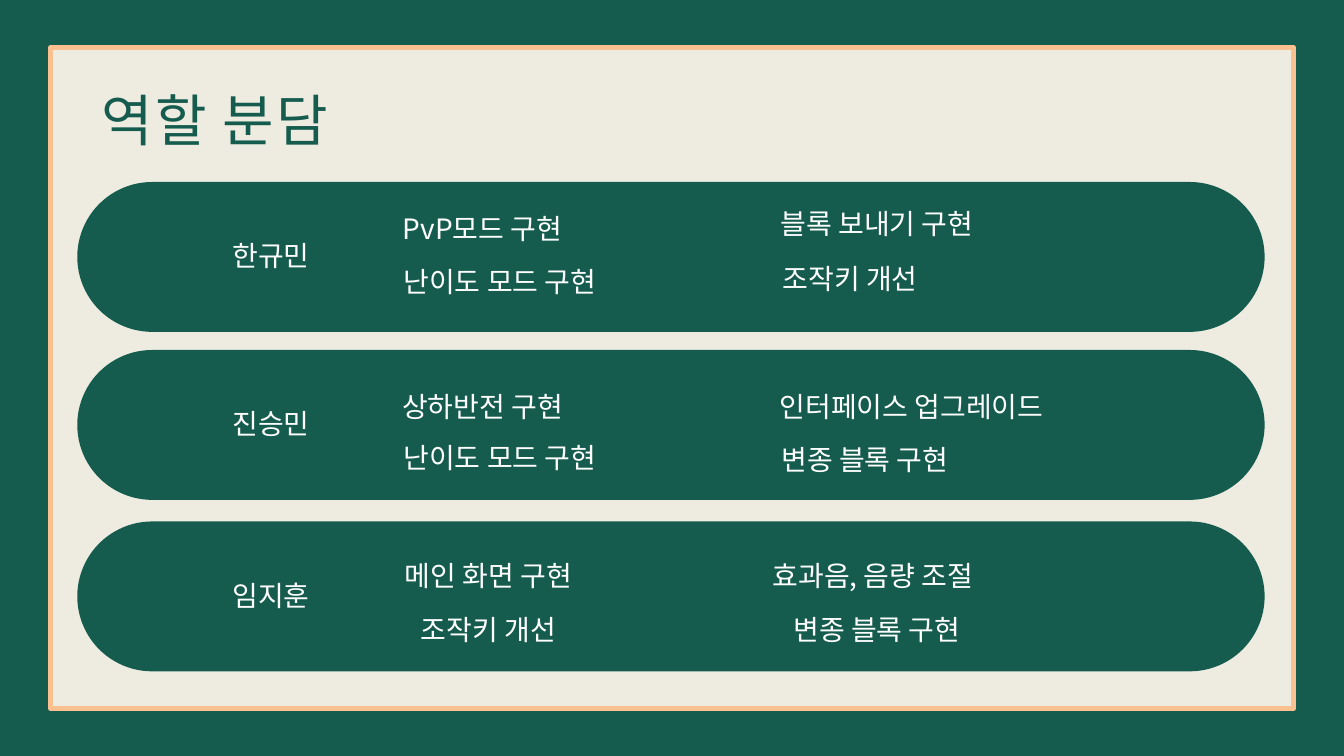
import pptx
import pptx.dml.color
import pptx.enum.shapes
import pptx.enum.text
import pptx.oxml.ns
import pptx.util
from lxml import etree

Pt = pptx.util.Pt
RGBColor = pptx.dml.color.RGBColor
Anchor = pptx.enum.text.MSO_ANCHOR
Align = pptx.enum.text.PP_ALIGN
Shape = pptx.enum.shapes.MSO_SHAPE

GREEN = RGBColor(0x15, 0x5C, 0x4F)
CREAM = RGBColor(0xEE, 0xEC, 0xE1)
PEACH = RGBColor(0xFA, 0xC0, 0x90)
WHITE = RGBColor(0xFF, 0xFF, 0xFF)

# Band top, member, tasks as (text, left, top, width)
MEMBERS = [
    (195, "한규민", [
        ("PvP모드 구현", 386.6, 223.2, 260.6),
        ("난이도 모드 구현", 377.3, 280.1, 316.8),
        ("블록 보내기 구현", 766.1, 217.4, 347),
        ("조작키 개선", 780.5, 276.5, 260.6),
    ]),
    (375, "진승민", [
        ("상하반전 구현", 376.6, 414, 280.8),
        ("난이도 모드 구현", 377.3, 468.7, 316.8),
        ("인터페이스 업그레이드", 747.4, 414, 458.6),
        ("변종 블록 구현", 772.6, 470.2, 308.2),
    ]),
    (558.7, "임지훈", [
        ("메인 화면 구현", 383, 595.4, 280.8),
        ("조작키 개선", 383, 653, 280.8),
        ("효과음, 음량 조절", 761.8, 595.4, 347),
        ("변종 블록 구현", 766.1, 653, 347),
    ]),
]


class RolePage:
    font = "Noto Sans CJK KR"

    def __init__(self, deck):
        self.page = deck.slides.add_slide(deck.slide_layouts[6])
        fill = self.page.background.fill
        fill.solid()
        fill.fore_color.rgb = GREEN

    def panel(self, kind, left, top, width, height, fill, line=None):
        shape = self.page.shapes.add_shape(kind, Pt(left), Pt(top), Pt(width), Pt(height))
        shape.shadow.inherit = False
        shape.fill.solid()
        shape.fill.fore_color.rgb = fill
        if line is None:
            shape.line.fill.background()
        else:
            shape.line.color.rgb = line
            shape.line.width = Pt(5)
        return shape

    def band(self, top):
        shape = self.panel(Shape.ROUNDED_RECTANGLE, 82.8, top, 1272.2, 160.6, GREEN)
        shape.adjustments[0] = 0.5

    def text(self, words, left, top, width, height=62.6, size=30, color=WHITE,
             align=Align.CENTER, anchor=Anchor.TOP, spacing=None):
        """Add one line of text; spacing is the letter spacing in points."""
        box = self.page.shapes.add_textbox(Pt(left), Pt(top), Pt(width), Pt(height))
        frame = box.text_frame
        frame.word_wrap = True
        frame.auto_size = pptx.enum.text.MSO_AUTO_SIZE.SHAPE_TO_FIT_TEXT
        frame.vertical_anchor = anchor
        para = frame.paragraphs[0]
        para.alignment = align
        span = para.add_run()
        span.text = words
        span.font.size = Pt(size)
        span.font.name = self.font
        span.font.color.rgb = color
        properties = span.font._element
        etree.SubElement(properties, pptx.oxml.ns.qn("a:ea"), typeface=self.font)
        if spacing is not None:
            properties.set("spc", str(spacing * 100))


def main():
    deck = pptx.Presentation()
    deck.slide_width, deck.slide_height = Pt(1440), Pt(810)
    roles = RolePage(deck)
    roles.panel(Shape.RECTANGLE, 54, 51, 1332, 708, CREAM, line=PEACH)
    roles.text("역할 분담", 102.2, 87.1, 873.4, 80, size=60, color=GREEN,
               align=Align.LEFT, anchor=Anchor.MIDDLE, spacing=2)
    for top, member, tasks in MEMBERS:
        roles.band(top)
        roles.text(member, 226.8, top + 57.5, 127.4)
        for task, left, task_top, width in tasks:
            roles.text(task, left, task_top, width)
    deck.save("out.pptx")


if __name__ == "__main__":
    main()
